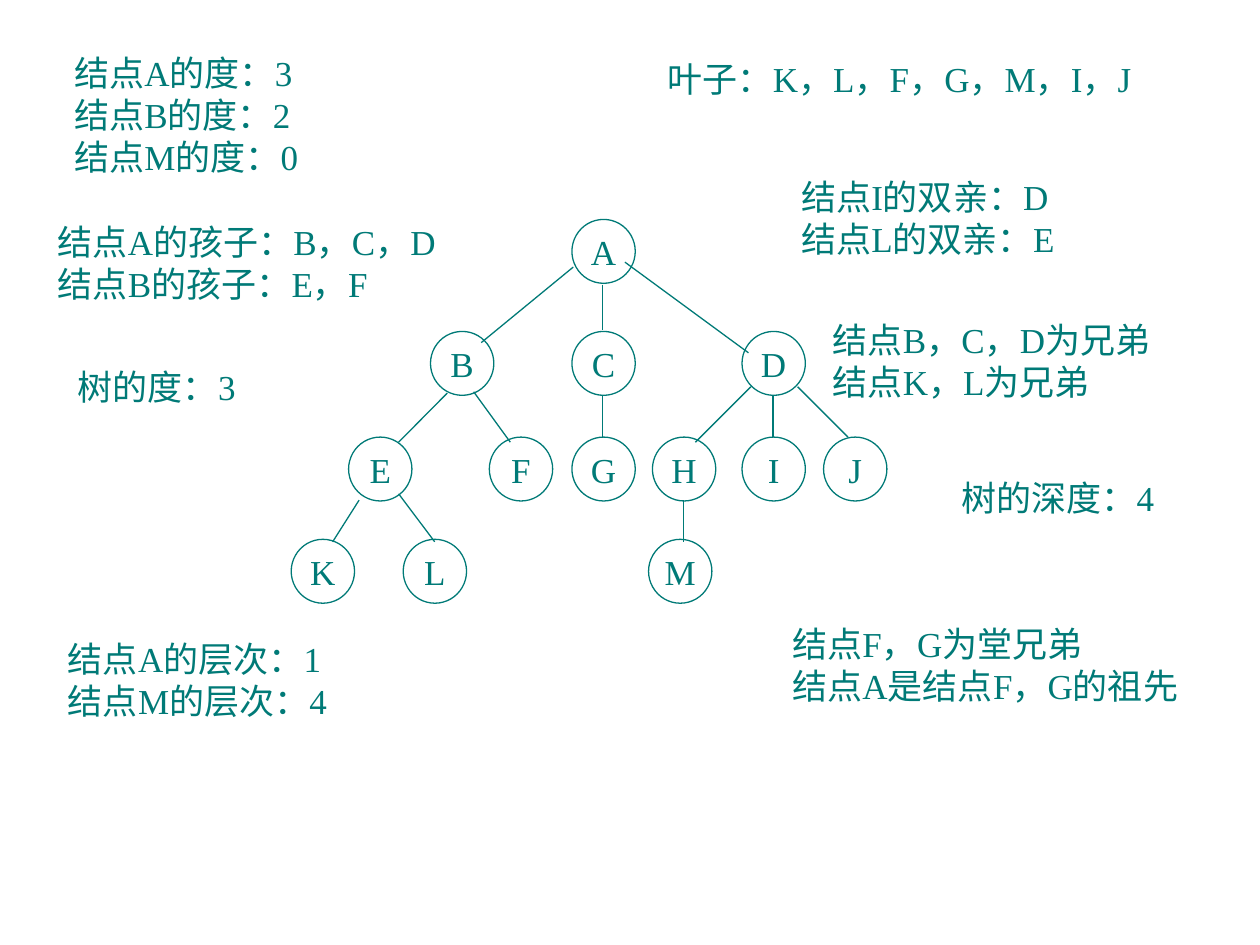
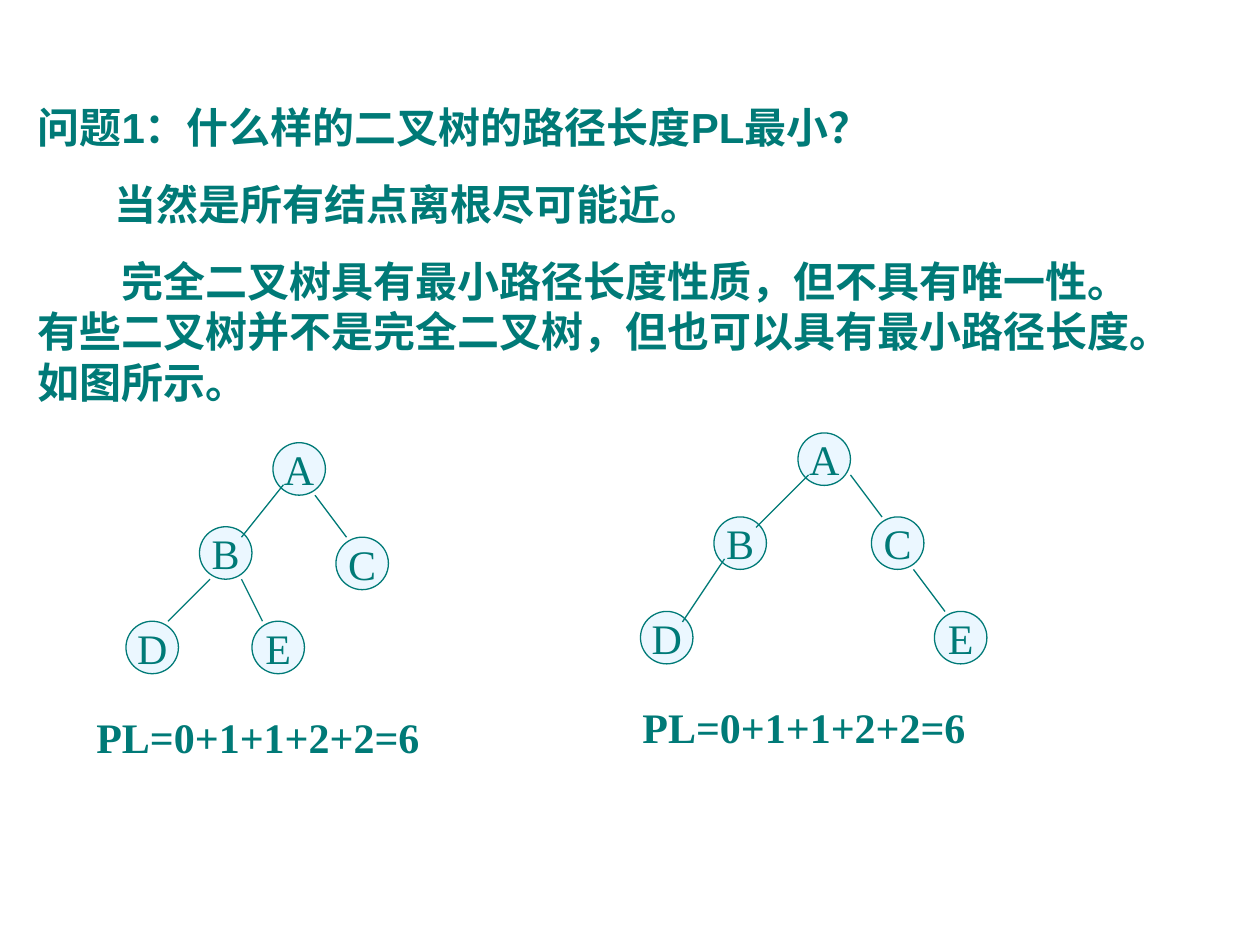
"""Builds two slides on tree terminology and the path length of binary trees."""
import dataclasses

import pptx
import pptx.dml.color
import pptx.enum.shapes
import pptx.enum.text
import pptx.oxml.ns
import pptx.util
from lxml import etree

Pt = pptx.util.Pt


@dataclasses.dataclass(frozen=True)
class Theme:
    ink: str = "007A77"
    node_fill: str = "EBF7FF"
    serif: str = "Times New Roman"
    sans: str = "Arial"
    label_size: float = 20
    body_size: float = 24
    line_width: float = 0.75
    paragraph_gap: float = 15


class SlideBuilder:
    def __init__(self, deck, theme):
        self.deck = deck
        self.theme = theme
        self.ink = pptx.dml.color.RGBColor.from_string(theme.ink)
        self.page = None
        self.shapes = None

    def new_page(self):
        self.page = self.deck.slides.add_slide(self.deck.slide_layouts[6])
        self.shapes = self.page.shapes

    def start_group(self):
        self.shapes = self.page.shapes.add_group_shape().shapes

    def end_group(self):
        self.shapes = self.page.shapes

    def format_text(self, frame, size, font, bold=False):
        for para in frame.paragraphs:
            for span in para.runs:
                span.font.size = Pt(size)
                span.font.name = font
                span.font.bold = bold
                span.font.color.rgb = self.ink

    def text(self, lines, left, top, width, height, size, font, bold=False, wrap=True):
        box = self.shapes.add_textbox(Pt(left), Pt(top), Pt(width), Pt(height))
        frame = box.text_frame
        frame.text = "\n".join(lines)
        frame.word_wrap = wrap
        frame.auto_size = pptx.enum.text.MSO_AUTO_SIZE.SHAPE_TO_FIT_TEXT
        self.format_text(frame, size, font, bold)
        return frame

    def label(self, lines, left, top, width):
        height = 7.7 + 23.9 * len(lines)
        self.text(lines, left, top, width, height,
                  self.theme.label_size, self.theme.serif, wrap=False)

    def body(self, lines, indents, left, top, width, height):
        frame = self.text(lines, left, top, width, height,
                          self.theme.body_size, self.theme.sans, bold=True)
        for para, indent in zip(frame.paragraphs, indents):
            para._p.get_or_add_pPr().set("indent", str(Pt(indent)))
        for para in frame.paragraphs[1:]:
            para.space_before = Pt(self.theme.paragraph_gap)

    def caption(self, line, left, top, width):
        self.text([line], left, top, width, 36,
                  self.theme.body_size, self.theme.serif, bold=True)

    def node(self, name, left, top, width, height, size, fill=None):
        circle = self.shapes.add_shape(pptx.enum.shapes.MSO_SHAPE.OVAL,
                                       Pt(left), Pt(top), Pt(width), Pt(height))
        circle.shadow.inherit = False
        if fill:
            circle.fill.solid()
            circle.fill.fore_color.rgb = pptx.dml.color.RGBColor.from_string(fill)
        else:
            circle.fill.background()
        circle.line.color.rgb = self.ink
        circle.line.width = Pt(self.theme.line_width)
        frame = circle.text_frame
        frame.text = name
        frame.word_wrap = False
        frame.vertical_anchor = pptx.enum.text.MSO_ANCHOR.MIDDLE
        frame.paragraphs[0].alignment = pptx.enum.text.PP_ALIGN.CENTER
        self.format_text(frame, size, self.theme.serif)

    def edge(self, *ends):
        line = self.shapes.add_connector(pptx.enum.shapes.MSO_CONNECTOR.STRAIGHT,
                                         *(Pt(end) for end in ends))
        line.line.color.rgb = self.ink
        line.line.width = Pt(self.theme.line_width)
        etree.SubElement(line._element.spPr, pptx.oxml.ns.qn("a:effectLst"))


TREE_LEVELS = [
    (125.4, {"A": 326.8}),
    (189.4, {"B": 246, "C": 326.8, "D": 424}),
    (249.8, {"E": 199.2, "F": 279.6, "G": 326.8, "H": 372.8, "I": 424, "J": 470.6}),
    (308.2, {"K": 166.4, "L": 230.4, "M": 370.6}),
]
TREE_EDGES = [
    (344.4, 162.7, 344.4, 188.6), (344.4, 226.1, 344.4, 249.8),
    (441.8, 226.1, 441.8, 249.8), (429.1, 221, 397.4, 252.7),
    (455.8, 221, 484.6, 249.8), (357.1, 149.8, 427.7, 201.6),
    (327.6, 152.6, 275, 195.8), (270.7, 223.9, 291.6, 252.7),
    (255.6, 224.6, 227.8, 252.7), (205.2, 285.8, 190.1, 309.6),
    (227.8, 282.2, 248.4, 309.6), (390.4, 285.8, 390.4, 309.6),
]
TERMS = [
    (["结点A的度：3", "结点B的度：2", "结点M的度：0"], 35.3, 25.9, 157),
    (["叶子：K，L，F，G，M，I，J"], 374.4, 29.5, 341.3),
    (["结点A的孩子：B，C，D", "结点B的孩子：E，F"], 25.9, 122.4, 263.5),
    (["结点I的双亲：D", "结点L的双亲：E"], 450.7, 96.5, 173.5),
    (["结点B，C，D为兄弟", "结点K，L为兄弟"], 468.7, 178.6, 224.6),
    (["树的度：3"], 37.4, 205.2, 109.4),
    (["结点A的层次：1", "结点M的层次：4"], 31.7, 360.7, 176.4),
    (["树的深度：4"], 542.2, 268.6, 128.9),
    (["结点F，G为堂兄弟", "结点A是结点F，G的祖先"], 445.7, 352.1, 263.5),
]
QUESTION = [
    "问题1：什么样的二叉树的路径长度PL最小？",
    "当然是所有结点离根尽可能近。",
    "完全二叉树具有最小路径长度性质，但不具有唯一性。"
    "有些二叉树并不是完全二叉树，但也可以具有最小路径长度。如图所示。",
]
BINARY_TREES = [
    ({"A": (156, 253), "B": (114, 301), "C": (192, 307), "D": (72, 355), "E": (144, 355)},
     [(162, 277, 138, 307), (120, 331, 96, 355),
      (138, 331, 150, 355), (180, 283, 198, 307)],
     (48, 403, 216)),
    ({"A": (456, 247.4), "B": (408, 295.4), "D": (366, 349.4),
      "C": (498, 295.4), "E": (534, 349.4)},
     [(462, 271.4, 432, 301.4), (414, 319.4, 390, 355.4),
      (486, 271.4, 504, 295.4), (522, 325.4, 540, 349.4)],
     (360, 397.4, 228)),
]


def build_terms_page(builder):
    builder.new_page()
    builder.start_group()
    for top, level in TREE_LEVELS:
        for name, left in level.items():
            builder.node(name, left, top, 36.2, 36.5, builder.theme.label_size)
    for ends in TREE_EDGES:
        builder.edge(*ends)
    builder.end_group()
    for lines, left, top, width in TERMS:
        builder.label(lines, left, top, width)


def build_path_length_page(builder):
    builder.new_page()
    builder.body(QUESTION, (0, 44, 48), 14.4, 54.7, 648, 181.4)
    for nodes, edges, caption_place in BINARY_TREES:
        builder.start_group()
        for name, (left, top) in nodes.items():
            builder.node(name, left, top, 30, 30,
                         builder.theme.body_size, builder.theme.node_fill)
        for ends in edges:
            builder.edge(*ends)
        builder.caption("PL=0+1+1+2+2=6", *caption_place)
        builder.end_group()


def main():
    deck = pptx.Presentation()
    deck.slide_width, deck.slide_height = Pt(720), Pt(540)
    builder = SlideBuilder(deck, Theme())
    build_terms_page(builder)
    build_path_length_page(builder)
    deck.save("out.pptx")


if __name__ == "__main__":
    main()
